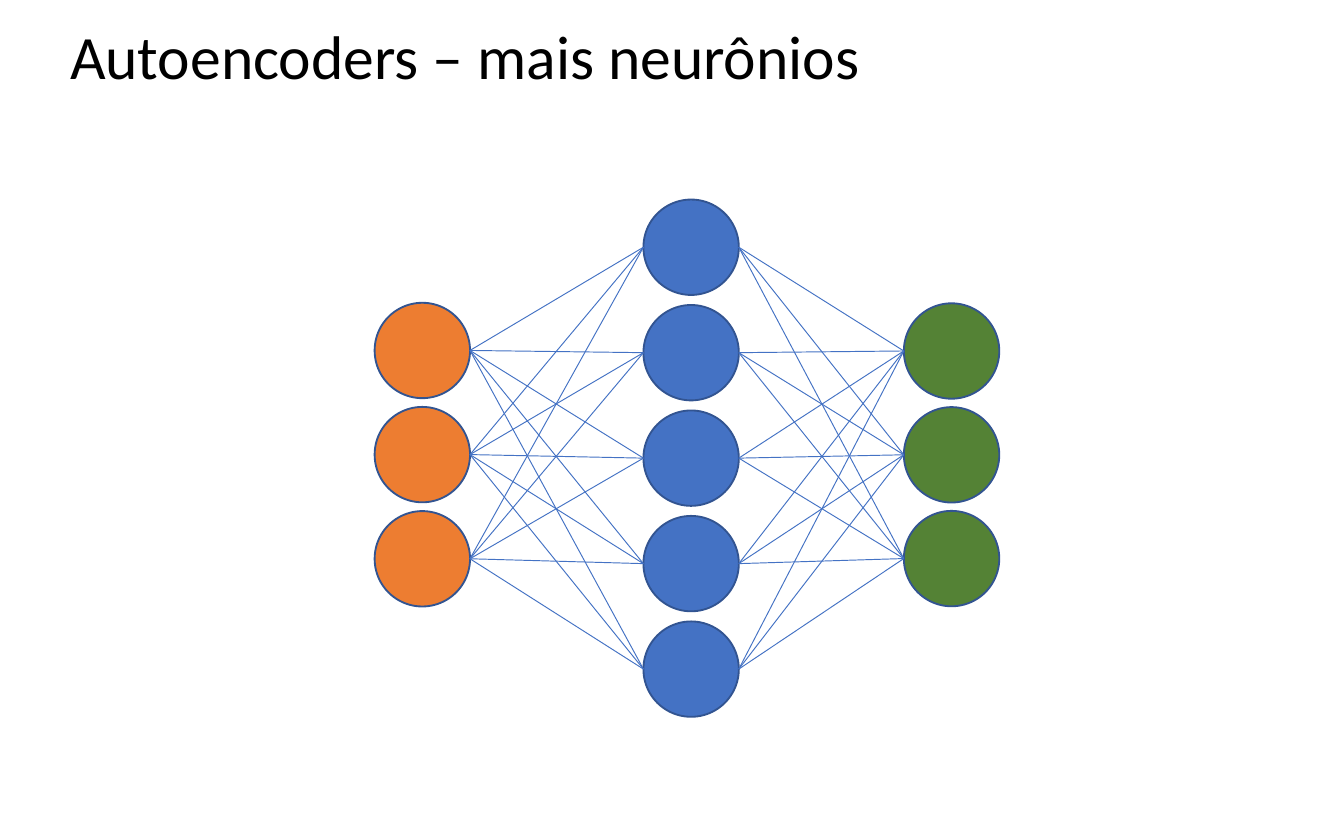
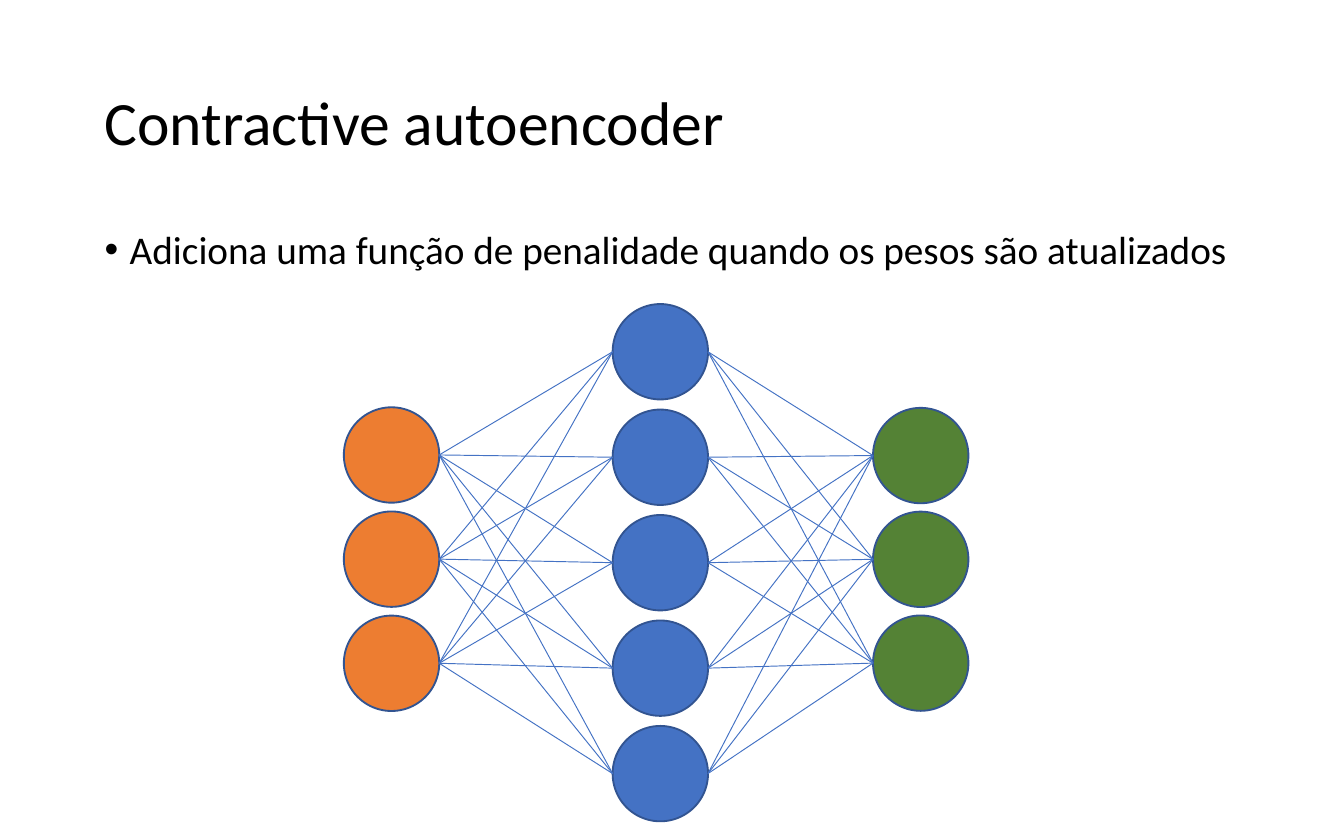
import itertools

import pptx
import pptx.dml.color
import pptx.enum.shapes
import pptx.enum.text
import pptx.util
import lxml.etree

Pt = pptx.util.Pt

COLOURS = {
    "text": "000000",
    "input": "ED7D31",
    "hidden": "4472C4",
    "output": "548235",
    "outline": "325491",
    "link": "4472C4",
}
FONT = "Calibri"
NEURON = 51.1
LAYERS = {
    "input": {"left": 0, "top": 55.7, "count": 3, "pitch": 55.8},
    "hidden": {"left": 144, "top": 0.4, "count": 5, "pitch": 56.5},
    "output": {"left": 283.5, "top": 56, "count": 3, "pitch": 55.6},
}
FRAME_FORMAT = {
    "word_wrap": True,
    "auto_size": pptx.enum.text.MSO_AUTO_SIZE.NONE,
    "margin_left": Pt(6.5),
    "margin_right": Pt(6.5),
}
PARA_FORMAT = {
    "line_spacing": 0.9,
    "alignment": pptx.enum.text.PP_ALIGN.LEFT,
}


def colour(name):
    """Return the named colour."""
    return pptx.dml.color.RGBColor.from_string(COLOURS[name])


def apply_format(target, values):
    """Set each attribute in values on target."""
    for name, value in values.items():
        setattr(target, name, value)


def fill_placeholder(holder, box, text, size, anchor, space_before=0):
    """Move a placeholder to box and write one formatted paragraph."""
    left, top, width, height = map(Pt, box)
    apply_format(holder, {"left": left, "top": top, "width": width, "height": height})
    frame = holder.text_frame
    apply_format(frame, {**FRAME_FORMAT, "vertical_anchor": anchor})
    para = frame.paragraphs[0]
    apply_format(para, {**PARA_FORMAT, "space_before": Pt(space_before)})
    span = para.add_run()
    span.text = text
    apply_format(span.font, {"name": FONT, "size": Pt(size)})
    span.font.color.rgb = colour("text")
    return para


def add_title(page, box, text):
    """Write the slide title in box."""
    fill_placeholder(page.shapes.title, box, text, 33,
                     pptx.enum.text.MSO_ANCHOR.MIDDLE)


def add_bullet(page, box, text):
    """Write a bulleted line in the body placeholder."""
    para = fill_placeholder(page.placeholders[1], box, text, 21,
                            pptx.enum.text.MSO_ANCHOR.TOP, 7.5)
    properties = para._p.get_or_add_pPr()
    properties.set("marL", str(Pt(13.5)))
    properties.set("indent", str(-Pt(13.5)))


def add_neuron(shapes, left, top, layer):
    """Draw one neuron in the colour of its layer."""
    neuron = shapes.add_shape(pptx.enum.shapes.MSO_SHAPE.OVAL,
                              Pt(left), Pt(top), Pt(NEURON), Pt(NEURON))
    neuron.rotation = 270
    neuron.shadow.inherit = False
    neuron.fill.solid()
    neuron.fill.fore_color.rgb = colour(layer)
    neuron.line.color.rgb = colour("outline")
    neuron.line.width = Pt(1)


def add_link(shapes, start, end):
    """Draw a thin line between two points."""
    link = shapes.add_connector(pptx.enum.shapes.MSO_CONNECTOR.STRAIGHT,
                                *map(Pt, (*start, *end)))
    link.line.color.rgb = colour("link")
    link.line.width = Pt(0.5)
    lxml.etree.SubElement(link._element.spPr, pptx.oxml.ns.qn("a:effectLst"))


def add_network(shapes, box):
    """Draw the fully connected layers from the top left of box."""
    left, top = box
    corners = {
        name: [(left + layer["left"], top + layer["top"] + row * layer["pitch"])
               for row in range(layer["count"])]
        for name, layer in LAYERS.items()
    }
    for name, places in corners.items():
        for x, y in places:
            add_neuron(shapes, x, y, name)
    for sources, targets in itertools.pairwise(corners.values()):
        for (x1, y1), (x2, y2) in itertools.product(sources, targets):
            add_link(shapes, (x1 + NEURON, y1 + NEURON / 2), (x2, y2 + NEURON / 2))


def add_neurons_page(deck):
    """Build the slide on autoencoders with more neurons."""
    page = deck.slides.add_slide(deck.slide_layouts[5])
    add_title(page, (31, -7.2, 620.6, 78.5), "Autoencoders – mais neurônios")
    add_network(page.shapes, (200.7, 106.5))


def add_contractive_page(deck):
    """Build the slide on the contractive autoencoder."""
    page = deck.slides.add_slide(deck.slide_layouts[1])
    add_title(page, (49.5, 24, 621, 87), "Contractive autoencoder")
    add_bullet(page, (49.5, 119.8, 621, 285.5),
               "Adiciona uma função de penalidade quando os pesos são atualizados")
    add_network(page.shapes.add_group_shape().shapes, (184.2, 162.5))


def main():
    """Build and save the deck."""
    deck = pptx.Presentation()
    apply_format(deck, {"slide_width": Pt(720), "slide_height": Pt(450)})
    add_neurons_page(deck)
    add_contractive_page(deck)
    deck.save("out.pptx")


if __name__ == "__main__":
    main()
